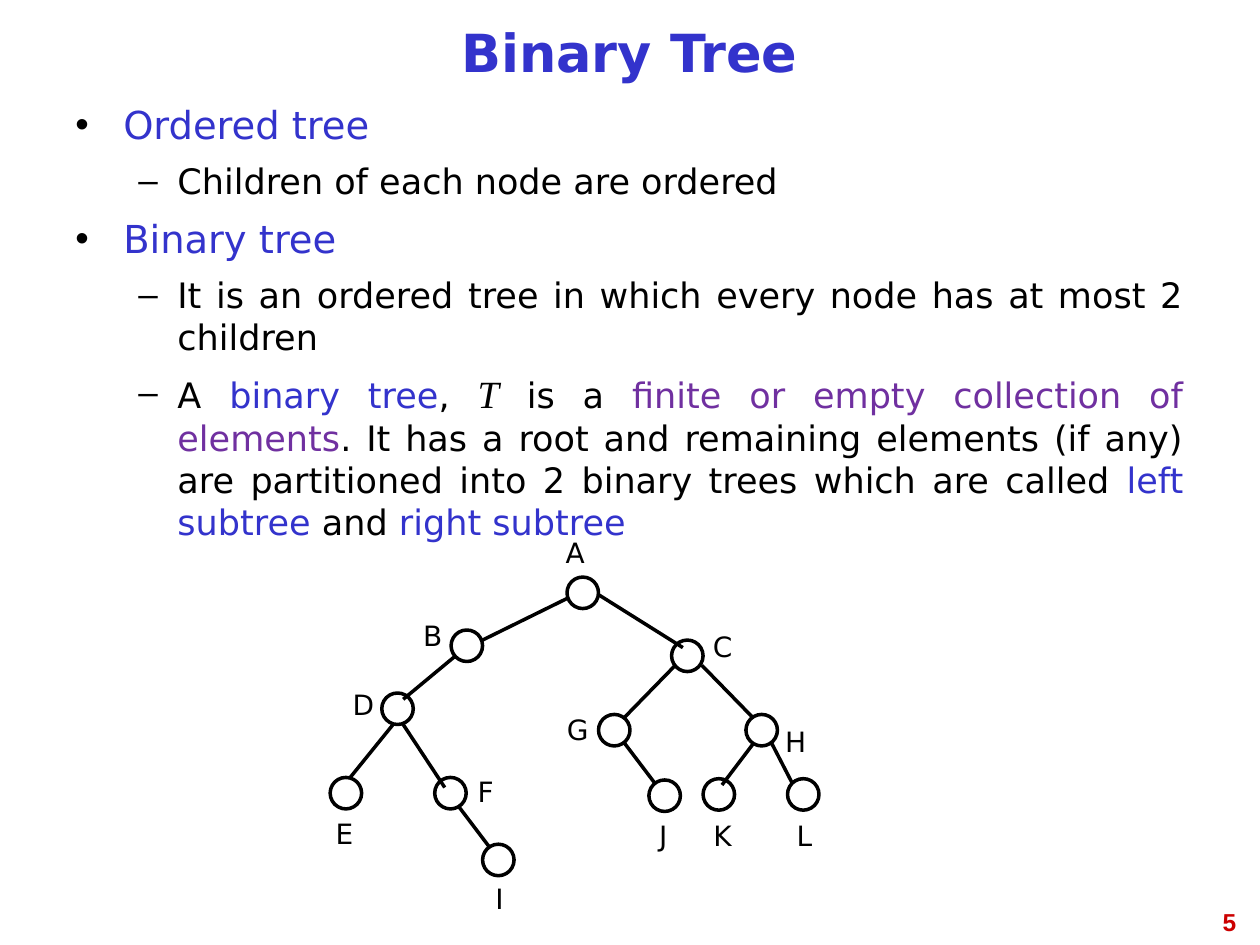
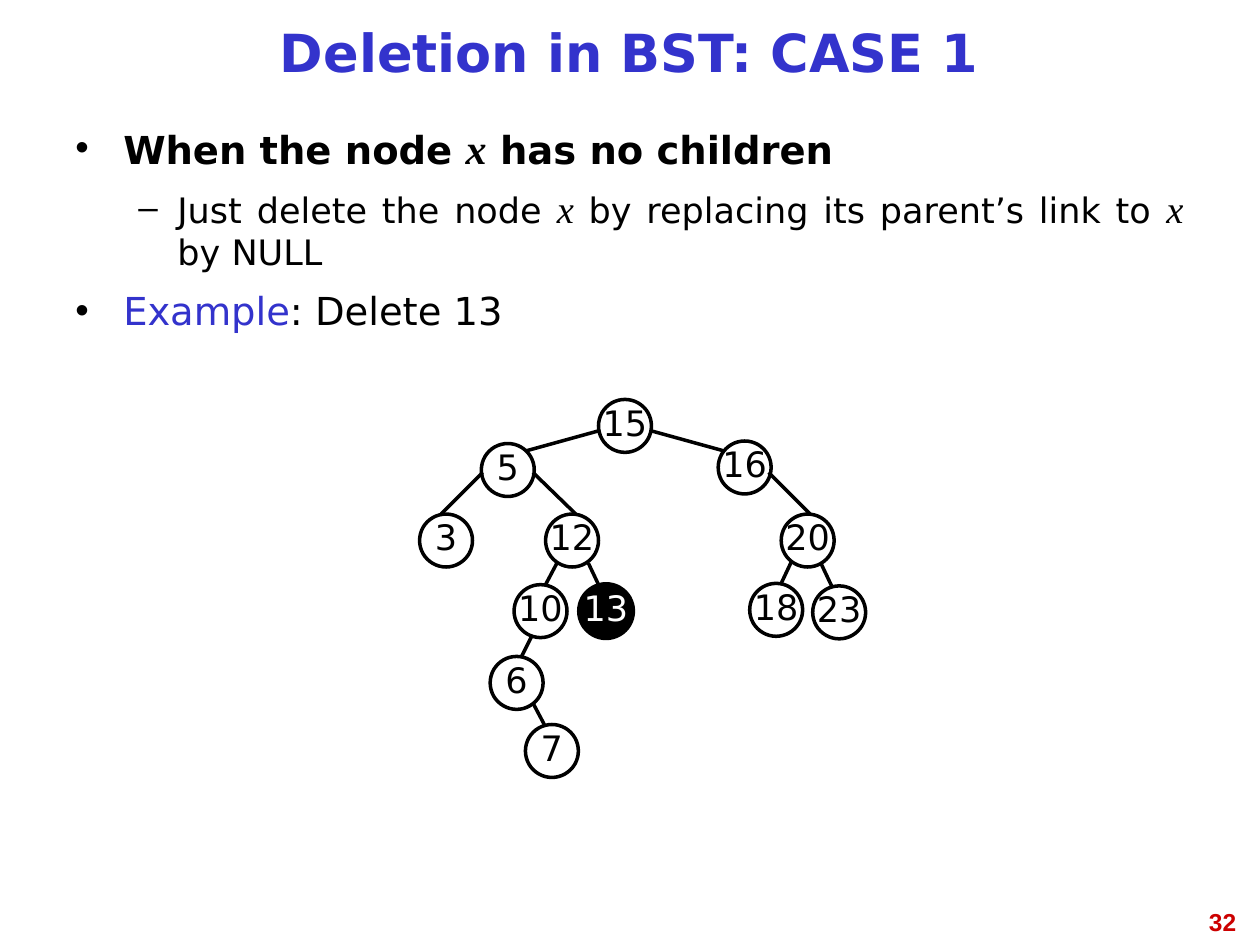
from lxml.etree import SubElement
from pptx import Presentation
from pptx.dml.color import RGBColor as RGB
from pptx.enum.shapes import MSO_CONNECTOR as CONN, MSO_SHAPE as SHAPE
from pptx.enum.text import MSO_ANCHOR as ANCHOR, PP_ALIGN as ALIGN
from pptx.oxml.ns import qn
from pptx.util import Pt

PX = 9144  # 100 px to the inch
BLACK = RGB(0x00, 0x00, 0x00)
WHITE = RGB(0xFF, 0xFF, 0xFF)
BLUE = RGB(0x33, 0x33, 0xCC)
PURPLE = RGB(0x70, 0x30, 0xA0)
RED = RGB(0xCC, 0x00, 0x00)
SANS, SERIF, FOOTER_FONT = "DejaVu Sans", "Times New Roman", "Arial"
MATH = "math"  # marks a run set as a variable: serif, italic, 2 pt larger

# Per outline level: bullet, size, left margin, hanging indent, space before
LEVELS = [("•", 22, 38, -38, 8), ("–", 20, 81, -31, 7)]

SLIDES = [
    dict(
        title="Binary Tree", number="5", body_top=75, body_height=583,
        body=[
            (0, False, [("Ordered tree", BLUE)]),
            (1, False, [("Children of each node are ordered", BLACK)]),
            (0, False, [("Binary tree", BLUE)]),
            (1, False, [("It is an ordered tree in which every node has at most 2 children", BLACK)]),
            (1, False, [
                ("A ", BLACK), ("binary tree", BLUE), (", ", BLACK), ("T", MATH),
                (" is a ", BLACK), ("finite or empty collection of elements", PURPLE),
                (". It has a root and remaining elements (if any) are partitioned "
                 "into 2 binary trees which are called ", BLACK),
                ("left subtree", BLUE), (" and ", BLACK), ("right subtree", BLUE)]),
        ],
        diameter=25,
        nodes={"A": (450, 458), "B": (358, 500), "C": (533, 508), "D": (303, 550),
               "E": (262, 617), "F": (345, 617), "G": (475, 567), "H": (592, 567),
               "I": (383, 670), "J": (515, 619), "K": (558, 618), "L": (625, 618)},
        labels={"A": (433, 417), "B": (320, 483), "C": (550, 492), "D": (265, 538),
                "E": (250, 640), "F": (362, 607), "G": (435, 558), "H": (608, 567),
                "I": (373, 692), "J": (503, 642), "K": (550, 642), "L": (615, 642)},
        edges=[(383, 508, 450, 475), (475, 472, 542, 514), (312, 575, 278, 617),
               (320, 575, 353, 625), (495, 570, 536, 528), (320, 555, 361, 521),
               (364, 640, 389, 673), (495, 589, 520, 622), (557, 528, 598, 570),
               (598, 590, 573, 623), (612, 589, 629, 622)],
    ),
    dict(
        title="Deletion in BST: CASE 1", number="32", body_top=92, body_height=200,
        body=[
            (0, True, [("When the node ", BLACK), ("x", MATH), (" has no children", BLACK)]),
            (1, False, [("Just delete the node ", BLACK), ("x", MATH),
                        (" by replacing its parent’s link to ", BLACK), ("x", MATH),
                        (" by NULL", BLACK)]),
            (0, False, [("Example", BLUE), (": Delete 13", BLACK)]),
        ],
        diameter=42, deleted="13",
        nodes={"15": (475, 317), "5": (382, 352), "16": (570, 350), "3": (333, 408),
               "12": (433, 408), "20": (620, 408), "10": (408, 464), "7": (417, 575),
               "6": (389, 521), "18": (595, 463), "23": (645, 465), "13": (460, 464)},
        labels={},
        edges=[(417, 358, 475, 342), (517, 342, 575, 358), (350, 408, 383, 375),
               (423, 375, 457, 408), (610, 375, 643, 408), (442, 447, 433, 464),
               (432, 575, 423, 558), (422, 505, 414, 521), (475, 464, 467, 447),
               (628, 446, 620, 463), (660, 465, 652, 448)],
    ),
]


def add_run(p, text, size, color, font=SANS, bold=False, italic=False):
    r = p.add_run()
    r.text = text
    f = r.font
    f.name, f.size, f.bold, f.italic = font, Pt(size), bold, italic
    f.color.rgb = color


def add_text_box(s, box, align, anchor=ANCHOR.TOP, wrap=True):
    """Add an empty text box and return its text frame."""
    tf = s.shapes.add_textbox(*(v * PX for v in box)).text_frame
    tf.word_wrap = wrap
    tf.vertical_anchor = anchor
    tf.paragraphs[0].alignment = align
    return tf


prs = Presentation()
prs.slide_width, prs.slide_height = 1000 * PX, 750 * PX

for content in SLIDES:
    s = prs.slides.add_slide(prs.slide_layouts[6])

    # Page number and title
    tf = add_text_box(s, (758, 715, 233, 52), ALIGN.RIGHT)
    add_run(tf.paragraphs[0], content["number"], 14, RED, FOOTER_FONT, bold=True)
    tf = add_text_box(s, (50, 8, 899, 75), ALIGN.CENTER, ANCHOR.MIDDLE)
    tf.paragraphs[0].line_spacing = 0.81
    add_run(tf.paragraphs[0], content["title"], 30, BLUE, bold=True)

    # Bulleted body
    body_box = (50, content["body_top"], 899, content["body_height"])
    tf = add_text_box(s, body_box, ALIGN.JUSTIFY)
    for i, (level, bold, runs) in enumerate(content["body"]):
        p = tf.add_paragraph() if i else tf.paragraphs[0]
        bullet, size, margin, indent, space = LEVELS[level]
        p.alignment, p.level, p.space_before = ALIGN.JUSTIFY, level, Pt(space)
        pPr = p._p.get_or_add_pPr()
        pPr.set("marL", str(margin * PX))
        pPr.set("indent", str(indent * PX))
        bullet_color = SubElement(pPr, qn("a:buClr"))
        SubElement(bullet_color, qn("a:srgbClr"), val=str(BLACK))
        SubElement(pPr, qn("a:buFont"), typeface="Arial")
        SubElement(pPr, qn("a:buChar"), char=bullet)
        for text, style in runs:
            if style == MATH:
                add_run(p, text, size + 2, BLACK, SERIF, bold, italic=True)
            else:
                add_run(p, text, size, style, bold=bold)

    # Tree
    for x1, y1, x2, y2 in content["edges"]:
        edge = s.shapes.add_connector(CONN.STRAIGHT, x1 * PX, y1 * PX, x2 * PX, y2 * PX)
        edge.line.color.rgb = BLACK
        edge.line.width = Pt(2)
        SubElement(edge._element.spPr, qn("a:effectLst"))

    diameter = content["diameter"] * PX
    for name, (x, y) in content["nodes"].items():
        deleted = name == content.get("deleted")
        node = s.shapes.add_shape(SHAPE.OVAL, x * PX, y * PX, diameter, diameter)
        node.shadow.inherit = False
        node.line.color.rgb = BLACK
        node.line.width = Pt(3 if deleted else 2)
        if deleted:
            node.fill.solid()
            node.fill.fore_color.rgb = BLACK
        else:
            node.fill.background()
        if name in content["labels"]:
            label_box = (*content["labels"][name], 47, 42)
            tf = add_text_box(s, label_box, ALIGN.CENTER, ANCHOR.MIDDLE, wrap=False)
            add_run(tf.paragraphs[0], name, 16, BLACK)
        else:
            tf = node.text_frame
            tf.word_wrap = False
            tf.vertical_anchor = ANCHOR.MIDDLE
            p = tf.paragraphs[0]
            p.alignment, p.line_spacing = ALIGN.CENTER, 0.81
            add_run(p, name, 20, WHITE if deleted else BLACK)

prs.save("out.pptx")
